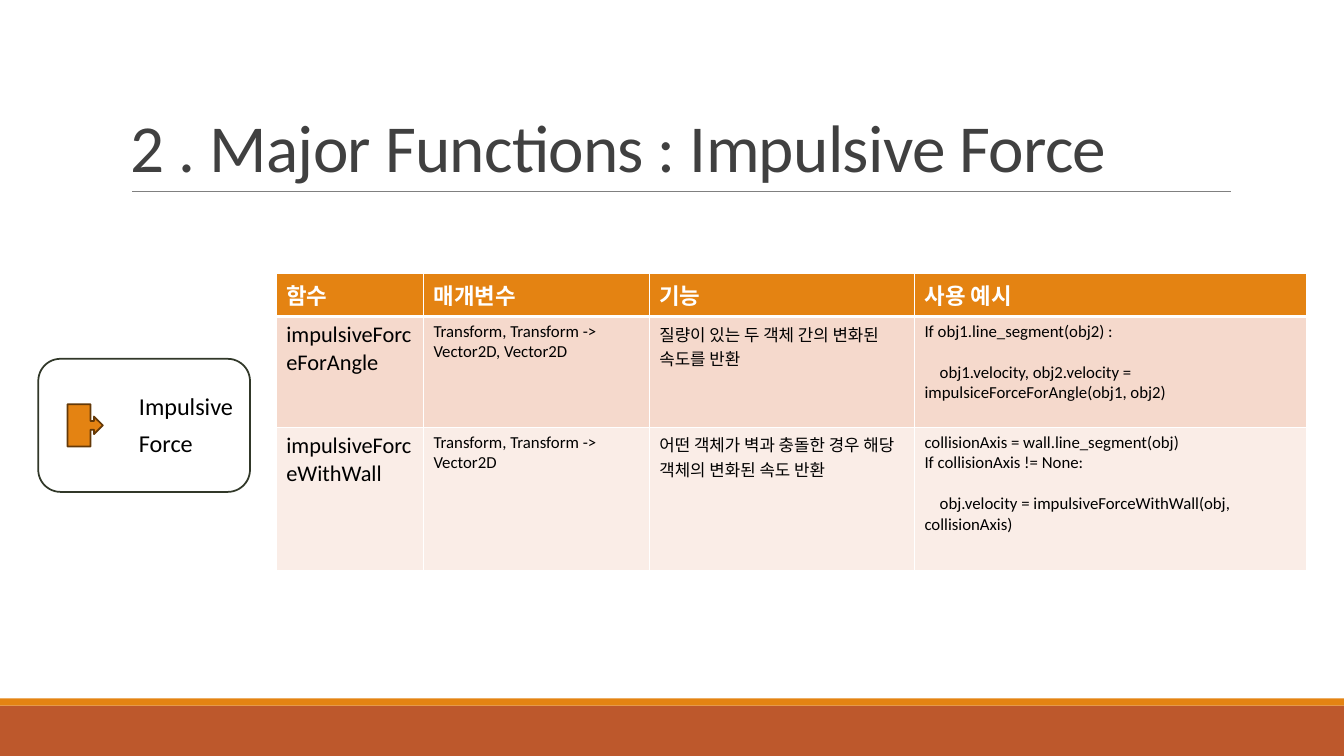
"""Build the slide on the impulsive force functions."""
from dataclasses import dataclass

from lxml import etree
from pptx import Presentation
from pptx.dml.color import RGBColor
from pptx.enum.shapes import MSO_CONNECTOR, MSO_SHAPE
from pptx.enum.text import MSO_ANCHOR
from pptx.oxml.ns import qn
from pptx.util import Inches, Pt

RECT = MSO_SHAPE.RECTANGLE
ROUNDED = MSO_SHAPE.ROUNDED_RECTANGLE
CALLOUT = MSO_SHAPE.RIGHT_ARROW_CALLOUT
STRAIGHT = MSO_CONNECTOR.STRAIGHT
BOTTOM, TOP = MSO_ANCHOR.BOTTOM, MSO_ANCHOR.TOP

FONT = "Calibri"
ORANGE, RUST, WHITE, BLACK = "E48312", "BD582C", "FFFFFF", "000000"
BODY_FILLS = ["F5D9CC", "FAEDE7"]
COLUMN_WIDTHS = [1.46, 2.24, 2.63, 3.89]
ROW_HEIGHTS = [0.43, 1.1, 1.42]
BLANK_LINE = 14.6
CODE_INDENT = 0.15


@dataclass
class Box:
    kind: MSO_SHAPE
    left: float
    top: float
    width: float
    height: float
    fill: str
    line: str = ""


@dataclass
class Para:
    text: str
    size: float = 12
    color: str = BLACK
    bold: bool = False
    before: float = 0
    after: float = 0
    spacing: float = 1
    indent: float = 0
    tracking: float = 0


BOXES = [
    Box(RECT, 0, 7, 13.33, 0.5, RUST),
    Box(RECT, 0, 6.93, 13.33, 0.07, ORANGE),
    Box(ROUNDED, 0.38, 3.56, 2.1, 1.32, WHITE, "313829"),
    Box(CALLOUT, 0.67, 4.01, 0.35, 0.42, ORANGE, "643908"),
]
TITLE = Para("2 . Major Functions : Impulsive Force", 48, "404040",
             spacing=0.85, tracking=-0.5)
LABEL = [Para(word, 17.3, after=6) for word in ("Impulsive", "Force")]
HEADER = [[Para(text, 16, WHITE, True)]
          for text in ("함수", "매개변수", "기능", "사용 예시")]
FUNCTIONS = [
    [
        [Para("impulsiveForceForAngle", 16)],
        [Para("Transform, Transform -> Vector2D, Vector2D")],
        [Para("질량이 있는 두 객체 간의 변화된 속도를 반환")],
        [Para("If obj1.line_segment(obj2) :"),
         Para("obj1.velocity, obj2.velocity = impulsiceForceForAngle(obj1, obj2)",
              before=BLANK_LINE, indent=CODE_INDENT)],
    ],
    [
        [Para("impulsiveForceWithWall", 16)],
        [Para("Transform, Transform -> Vector2D")],
        [Para("어떤 객체가 벽과 충돌한 경우 해당 객체의 변화된 속도 반환")],
        [Para("collisionAxis = wall.line_segment(obj)"),
         Para("If collisionAxis != None:"),
         Para("obj.velocity = impulsiveForceWithWall(obj, collisionAxis)",
              before=BLANK_LINE, indent=CODE_INDENT)],
    ],
]


def rgb(color: str) -> RGBColor:
    """Return the colour for a hex string."""
    return RGBColor.from_string(color)


def write(tf, paras: list[Para]) -> None:
    """Fill a text frame with styled paragraphs."""
    tf.word_wrap = True
    for i, para in enumerate(paras):
        p = tf.add_paragraph() if i else tf.paragraphs[0]
        p.text = para.text
        p.space_before, p.space_after = Pt(para.before), Pt(para.after)
        p.line_spacing = para.spacing
        p.font.name, p.font.size, p.font.bold = FONT, Pt(para.size), para.bold
        p.font.color.rgb = rgb(para.color)
        pPr = p._p.get_or_add_pPr()
        if para.indent:
            pPr.set("marL", "0")
            pPr.set("indent", str(Inches(para.indent)))
        if para.tracking:
            pPr.find(qn("a:defRPr")).set("spc", str(round(para.tracking * 100)))


def add_box(s, box: Box) -> None:
    """Draw a filled preset shape."""
    sp = s.shapes.add_shape(box.kind, Inches(box.left), Inches(box.top),
                            Inches(box.width), Inches(box.height))
    sp.shadow.inherit = False
    sp.fill.solid()
    sp.fill.fore_color.rgb = rgb(box.fill)
    if box.line:
        sp.line.color.rgb = rgb(box.line)
        sp.line.width = Pt(1.25)
    else:
        sp.line.fill.background()


def add_text(s, left: float, top: float, width: float, height: float,
             paras: list[Para], anchor: MSO_ANCHOR = TOP) -> None:
    """Add a text box."""
    sp = s.shapes.add_textbox(Inches(left), Inches(top), Inches(width), Inches(height))
    sp.text_frame.vertical_anchor = anchor
    write(sp.text_frame, paras)


def add_rule(s, left: float, right: float, y: float) -> None:
    """Draw the thin rule under the title."""
    line = s.shapes.add_connector(STRAIGHT, Inches(left), Inches(y),
                                  Inches(right), Inches(y))
    line.line.color.rgb = rgb("808080")
    line.line.width = Pt(0.5)
    etree.SubElement(line._element.spPr, qn("a:effectLst"))


def set_borders(cell, bottom: float, top: float) -> None:
    """Give a cell white borders."""
    tcPr = cell._tc.get_or_add_tcPr()
    widths = {"a:lnL": 1, "a:lnR": 1, "a:lnT": top, "a:lnB": bottom}
    for i, (tag, width) in enumerate(widths.items()):
        ln = etree.Element(qn(tag), w=str(Pt(width)))
        fill = etree.SubElement(ln, qn("a:solidFill"))
        etree.SubElement(fill, qn("a:srgbClr"), val=WHITE)
        tcPr.insert(i, ln)


def add_function_table(s, left: float, top: float) -> None:
    """Add the table of functions."""
    rows = [HEADER, *FUNCTIONS]
    fills = [ORANGE, *BODY_FILLS]
    table = s.shapes.add_table(
        len(rows), len(COLUMN_WIDTHS), Inches(left), Inches(top),
        Inches(sum(COLUMN_WIDTHS)), Inches(sum(ROW_HEIGHTS))).table
    table.first_row = table.horz_banding = False
    for column, width in zip(table.columns, COLUMN_WIDTHS):
        column.width = Inches(width)
    for i, (row, height) in enumerate(zip(table.rows, ROW_HEIGHTS)):
        row.height = Inches(height)
        for cell, paras in zip(row.cells, rows[i]):
            cell.fill.solid()
            cell.fill.fore_color.rgb = rgb(fills[i])
            set_borders(cell, bottom=3 if i == 0 else 1, top=3 if i == 1 else 1)
            write(cell.text_frame, paras)


def main() -> None:
    """Build and save the slide."""
    prs = Presentation()
    prs.slide_width, prs.slide_height = Inches(13.33), Inches(7.5)
    s = prs.slides.add_slide(prs.slide_layouts[6])
    for box in BOXES:
        add_box(s, box)
    add_rule(s, 1.31, 12.21, 1.9)
    add_text(s, 1.2, 0.31, 11, 1.59, [TITLE], BOTTOM)
    add_function_table(s, 2.74, 2.71)
    add_text(s, 1.28, 3.83, 1.23, 0.77, LABEL)
    prs.save("out.pptx")


main()
